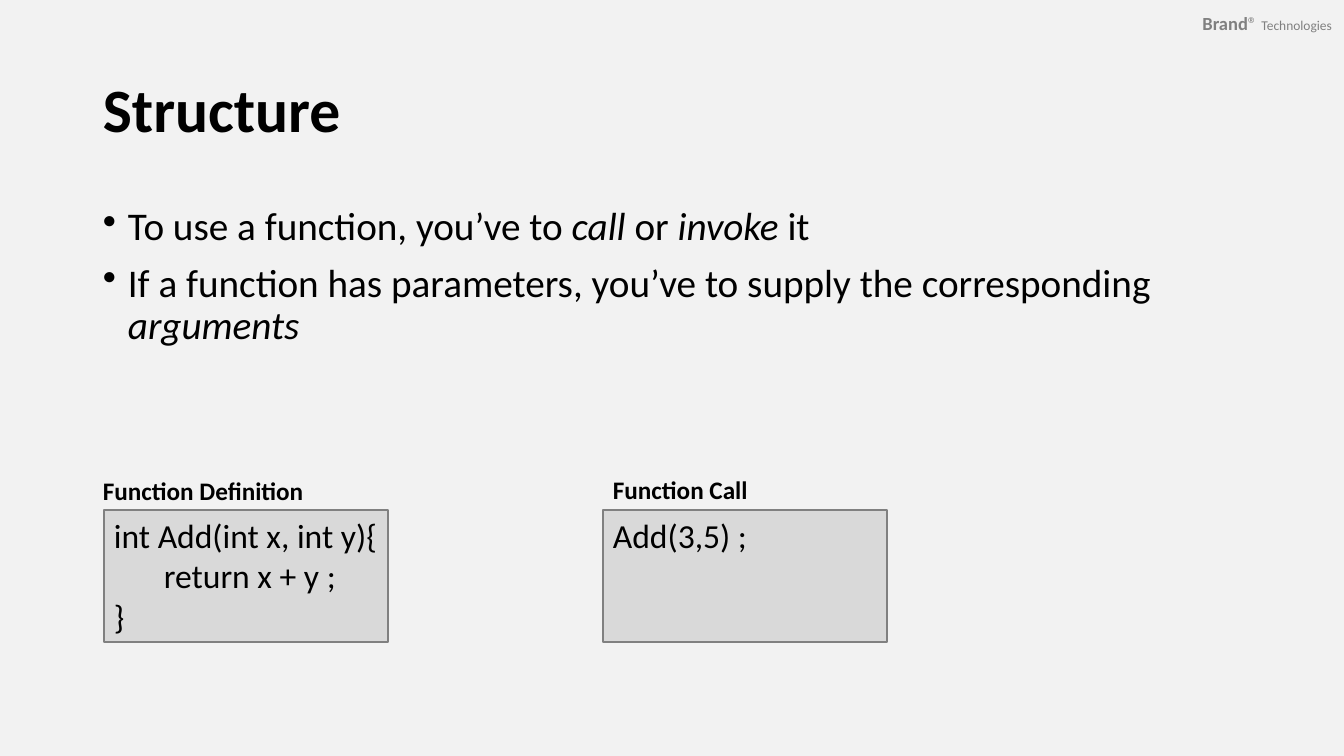
"""Builds the slide on the structure of a function definition and its call."""
from lxml import etree
from pptx import Presentation, util as u
from pptx.dml.color import RGBColor
from pptx.enum import shapes, text
from pptx.oxml.ns import qn

PX = 914400 / 100.8
FONT = "Calibri"
COLORS = {"page": "F2F2F2", "ink": "000000", "code": "D9D9D9", "gray": "808080"}

HEADER = [("Brand", 13.2, True), ("® ", 13.2, False), ("Technologies", 9.6, False)]
TITLE = "Structure"
BULLETS = [
    [("To use a function, you’ve to ", False), ("call", True), (" or ", False),
     ("invoke", True), (" it", False)],
    [("If a function has parameters, you’ve to supply the corresponding ", False),
     ("arguments", True)],
]
EXAMPLES = [
    {"label": "Function Definition", "label_box": (93, 470, 223, 40), "left": 104,
     "code": ["int Add(int x, int y){", "\treturn x + y ;", "}"]},
    {"label": "Function Call", "label_box": (603, 469, 156, 40), "left": 603,
     "code": ["Add(3,5) ;"]},
]
CODE_TOP, CODE_WIDTH, CODE_HEIGHT = 510, 284, 132
INDENT = 25


def px(length):
    return u.Emu(round(length * PX))


def color(name):
    return RGBColor.from_string(COLORS[name])


def style(font, size=None, ink="ink", bold=None):
    font.name = FONT
    font.color.rgb = color(ink)
    font.bold = bold
    if size:
        font.size = u.Pt(size)


def add_text(slide, box, wrap=True, anchor=text.MSO_ANCHOR.TOP):
    frame = slide.shapes.add_textbox(*map(px, box)).text_frame
    frame.word_wrap = wrap
    frame.vertical_anchor = anchor
    return frame


def paragraphs(frame, count):
    return [frame.paragraphs[0]] + [frame.add_paragraph() for _ in range(count - 1)]


def add_header(slide):
    frame = add_text(slide, (1150, 1, 194, 45), anchor=text.MSO_ANCHOR.MIDDLE)
    frame.margin_left = frame.margin_right = px(12)
    frame.margin_top = frame.margin_bottom = px(6)
    brand = frame.paragraphs[0]
    brand.alignment = text.PP_ALIGN.RIGHT
    for words, size, bold in HEADER:
        run = brand.add_run()
        run.text = words
        style(run.font, size, "gray", bold)


def add_title(slide):
    frame = add_text(slide, (93, 40, 1159, 146), anchor=text.MSO_ANCHOR.MIDDLE)
    heading = frame.paragraphs[0]
    heading.text = TITLE
    heading.line_spacing = 0.9
    style(heading.font, 44, bold=True)


def add_bullets(slide):
    frame = add_text(slide, (93, 202, 1159, 248))
    for bullet, parts in zip(paragraphs(frame, len(BULLETS)), BULLETS):
        bullet.line_spacing = 0.9
        bullet.space_before = u.Pt(10)
        style(bullet.font, 28)
        for words, italic in parts:
            run = bullet.add_run()
            run.text = words
            run.font.italic = italic
        props = bullet._p.get_or_add_pPr()
        props.set("marL", str(px(INDENT)))
        props.set("indent", str(-px(INDENT)))
        mark = etree.Element(qn("a:buChar"), char="•")
        props.find(qn("a:defRPr")).addprevious(mark)


def add_example(slide, example):
    label = add_text(slide, example["label_box"], wrap=False).paragraphs[0]
    label.text = example["label"]
    style(label.font, 18, bold=True)

    panel = slide.shapes.add_shape(
        shapes.MSO_SHAPE.RECTANGLE,
        *map(px, (example["left"], CODE_TOP, CODE_WIDTH, CODE_HEIGHT)))
    panel.shadow.inherit = False
    panel.fill.solid()
    panel.fill.fore_color.rgb = color("code")
    panel.line.color.rgb = color("gray")
    panel.line.width = u.Pt(1.5)
    frame = panel.text_frame
    frame.word_wrap = True
    frame.vertical_anchor = text.MSO_ANCHOR.TOP
    for line, words in zip(paragraphs(frame, len(example["code"])), example["code"]):
        line.text = words
        line.alignment = text.PP_ALIGN.LEFT
        style(line.font, 24)
        if words.startswith("\t"):
            tabs = etree.Element(qn("a:tabLst"))
            etree.SubElement(tabs, qn("a:tab"), pos=str(px(50)), algn="l")
            line._p.pPr.find(qn("a:defRPr")).addprevious(tabs)


def main():
    deck = Presentation()
    deck.slide_width, deck.slide_height = px(1344), px(756)
    slide = deck.slides.add_slide(deck.slide_layouts[6])
    slide.background.fill.solid()
    slide.background.fill.fore_color.rgb = color("page")
    add_header(slide)
    add_title(slide)
    add_bullets(slide)
    for example in EXAMPLES:
        add_example(slide, example)
    deck.save("out.pptx")


if __name__ == "__main__":
    main()
